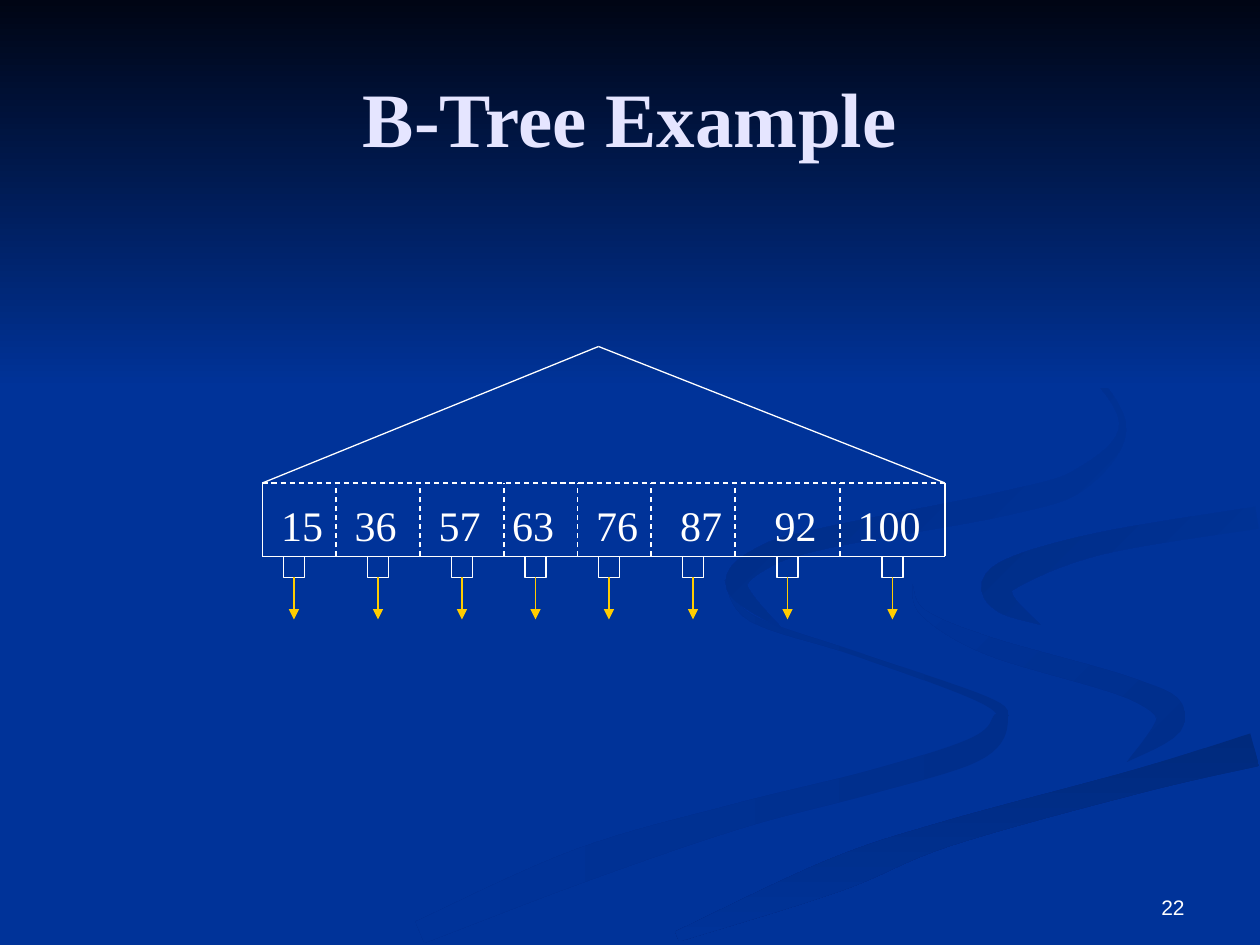
from collections import namedtuple
from math import hypot

from lxml.etree import SubElement
from pptx import Presentation
from pptx.dml.color import RGBColor
from pptx.enum.dml import MSO_LINE
from pptx.enum.shapes import MSO_CONNECTOR, MSO_SHAPE
from pptx.enum.text import MSO_ANCHOR as Anchor, PP_ALIGN as Align
from pptx.oxml.ns import qn
from pptx.util import Inches, Pt

BLUE, WHITE, GOLD, LAVENDER = "003399", "FFFFFF", "FFCC00", "E5E5FF"
SERIF, SANS = "Times New Roman", "Arial"
COLUMNS, ROWS = 120, 90

Knot = namedtuple("Knot", "column row thickness")
Ribbon = namedtuple("Ribbon", "start end angle knots")
Cell = namedtuple("Cell", "key left text_inset pointer_inset")

RIBBONS = {
    "lower bend": Ribbon("002E8B", BLUE, 180, [
        Knot(69, 55.2, 0), Knot(71.6, 58.9, 0.6), Knot(81.6, 62.3, 0.4),
        Knot(93.8, 66.7, 0.8), Knot(95.2, 68.8, 1.6), Knot(92.6, 71.5, 2.3),
        Knot(82.9, 74.5, 2.2), Knot(70.4, 77.7, 2.4), Knot(55.4, 82.4, 3.2),
        Knot(40, 88.8, 2.2)]),
    "middle bend": Ribbon("002E8B", BLUE, 225, [
        Knot(86.9, 55.7, 0), Knot(88, 58.4, 0.6), Knot(94.4, 61.6, 1.7),
        Knot(107.8, 65.6, 2), Knot(111.5, 68.5, 2.8), Knot(107.3, 72.6, 0)]),
    "foreground path": Ribbon("002A7D", BLUE, 90, [
        Knot(119.5, 71.4, 3.2), Knot(108.4, 74.4, 2.3), Knot(90.2, 79.4, 2.4),
        Knot(79.4, 83.4, 3.2), Knot(64.5, 89.2, 1)]),
    "right bend": Ribbon(BLUE, "002D86", 225, [
        Knot(119.7, 49.3, 2.1), Knot(104.6, 51.8, 2.1), Knot(95.8, 54.9, 2.9),
        Knot(95.5, 57.2, 2.3), Knot(99.1, 59.5, 0)]),
    "upper bend": Ribbon(BLUE, "002B82", 225, [
        Knot(91.4, 28, 0), Knot(101.3, 33.2, 0.6), Knot(106.9, 40.2, 0.6),
        Knot(103.1, 45.5, 2), Knot(95.9, 47.9, 2.3), Knot(78.8, 51.2, 2),
        Knot(72.7, 53.1, 2.2), Knot(70.2, 55.9, 2), Knot(74.6, 60, 0)]),
}
SKY_ROWS = 37

CELLS = [Cell("15", 25, 0.6, 3), Cell("36", 32, 0.6, 4), Cell("57", 40, 0.6, 4),
         Cell("63", 48, -0.4, 3), Cell("76", 55, 0.6, 3), Cell("87", 62, 1.6, 4),
         Cell("92", 70, 2.6, 5), Cell("100", 80, 0.5, 5)]
NODE_LEFT, NODE_RIGHT, NODE_TOP, NODE_BOTTOM = CELLS[0].left, 90, 46, 53
PARENT = (57, 33)
POINTER_SIDE, ARROW_LENGTH = 2, 4


def rgb(value):
    return RGBColor.from_string(value)


def smooth_curve(knots, steps=8):
    """Return Catmull-Rom samples that pass through every knot."""
    padded = [knots[0], *knots, knots[-1]]
    samples = []
    for before, here, there, after in zip(padded, padded[1:], padded[2:], padded[3:]):
        for step in range(steps):
            t = step / steps
            samples.append(Knot(*(
                b + t * ((c - a) + t * ((2 * a - 5 * b + 4 * c - d)
                                        + t * (3 * b - a - 3 * c + d))) / 2
                for a, b, c, d in zip(before, here, there, after))))
    return [*samples, knots[-1]]


def ribbon_outline(knots):
    """Return the two edges of a ribbon, joined into one closed outline."""
    curve = smooth_curve(knots)
    near_edge, far_edge = [], []
    for before, point, after in zip([curve[0], *curve], curve, [*curve[1:], curve[-1]]):
        run, rise = after.column - before.column, after.row - before.row
        half = max(point.thickness, 0) / 2 / hypot(run, rise)
        near_edge.append((point.column - rise * half, point.row + run * half))
        far_edge.append((point.column + rise * half, point.row - run * half))
    return [(min(column, COLUMNS), min(row, ROWS))
            for column, row in near_edge + far_edge[::-1]]


class Canvas:
    """Holds the deck's style and draws on its current slide by grid cells."""

    def __init__(self):
        self.deck = Presentation()
        self.deck.slide_width, self.deck.slide_height = Inches(10), Inches(7.5)
        self.slide = self.deck.slides.add_slide(self.deck.slide_layouts[6])
        self.shapes = self.slide.shapes
        self.slide.background.fill.solid()
        self.slide.background.fill.fore_color.rgb = rgb(BLUE)

    def x(self, column):
        return round(self.deck.slide_width * column / COLUMNS)

    def y(self, row):
        return round(self.deck.slide_height * row / ROWS)

    def area(self, column, row, width, height):
        return self.x(column), self.y(row), self.x(width), self.y(height)

    def shade(self, shape, start, end, angle):
        shape.shadow.inherit = False
        shape.line.fill.background()
        shape.fill.gradient()
        shape.fill.gradient_angle = 360 - angle
        for position, (stop, color) in enumerate(
                zip(shape.fill.gradient_stops, (start, end))):
            stop.color.rgb, stop.position = rgb(color), position

    def ribbon(self, start, end, angle, knots):
        corners = [(self.x(column), self.y(row)) for column, row in ribbon_outline(knots)]
        builder = self.shapes.build_freeform(*corners[0])
        builder.add_line_segments(corners[1:], close=True)
        self.shade(builder.convert_to_shape(), start, end, angle)

    def sky(self, rows, start, end):
        band = self.shapes.add_shape(MSO_SHAPE.RECTANGLE, *self.area(0, 0, COLUMNS, rows))
        self.shade(band, start, end, 90)

    def text(self, words, cells, size, color=WHITE, font=SERIF, bold=False,
             align=Align.LEFT, anchor=Anchor.TOP, wrap=True):
        frame = self.shapes.add_textbox(*self.area(*cells)).text_frame
        frame.word_wrap, frame.vertical_anchor = wrap, anchor
        paragraph = frame.paragraphs[0]
        paragraph.alignment = align
        run = paragraph.add_run()
        run.text = words
        run.font.name, run.font.size, run.font.bold = font, Pt(size), bold
        run.font.color.rgb = rgb(color)

    def line(self, start, end, color=WHITE, dashed=False, arrow=False):
        link = self.shapes.add_connector(
            MSO_CONNECTOR.STRAIGHT, self.x(start[0]), self.y(start[1]),
            self.x(end[0]), self.y(end[1]))
        link.line.color.rgb, link.line.width = rgb(color), Pt(0.75)
        if dashed:
            link.line.dash_style = MSO_LINE.DASH
        if arrow:
            SubElement(link.line._get_or_add_ln(), qn("a:tailEnd"), type="triangle")
        SubElement(link._element.spPr, qn("a:effectLst"))

    def square(self, column, row, side):
        box = self.shapes.add_shape(MSO_SHAPE.RECTANGLE, *self.area(column, row, side, side))
        box.shadow.inherit = False
        box.fill.background()
        box.line.color.rgb, box.line.width = rgb(WHITE), Pt(1)

    def cell(self, cell):
        width = 2.3 * len(cell.key) + 2.2
        self.text(cell.key, (cell.left + cell.text_inset, NODE_TOP + 1, width, 6), 24, wrap=False)
        if cell.left != NODE_LEFT:
            self.line((cell.left, NODE_BOTTOM), (cell.left, NODE_TOP), dashed=True)
        pointer, tail = cell.left + cell.pointer_inset, NODE_BOTTOM + POINTER_SIDE
        self.square(pointer - POINTER_SIDE / 2, NODE_BOTTOM, POINTER_SIDE)
        self.line((pointer, tail), (pointer, tail + ARROW_LENGTH), GOLD, arrow=True)


def main():
    canvas = Canvas()
    for ribbon in RIBBONS.values():
        canvas.ribbon(*ribbon)
    canvas.sky(SKY_ROWS, "000514", BLUE)
    canvas.text("22", (86, 82, 28, 6.2), 12, font=SANS, align=Align.RIGHT, anchor=Anchor.BOTTOM)
    canvas.text("B-Tree Example", (6, 3.6, 108, 15), 44, LAVENDER, bold=True,
                align=Align.CENTER, anchor=Anchor.MIDDLE)

    canvas.line((NODE_LEFT, NODE_BOTTOM), (NODE_RIGHT, NODE_BOTTOM))
    canvas.line((NODE_LEFT, NODE_TOP), (NODE_RIGHT, NODE_TOP), dashed=True)
    for side in (NODE_LEFT, NODE_RIGHT):
        canvas.line((side, NODE_BOTTOM), (side, NODE_TOP))
        canvas.line(PARENT, (side, NODE_TOP))
    for cell in CELLS:
        canvas.cell(cell)
    canvas.deck.save("out.pptx")


if __name__ == "__main__":
    main()
